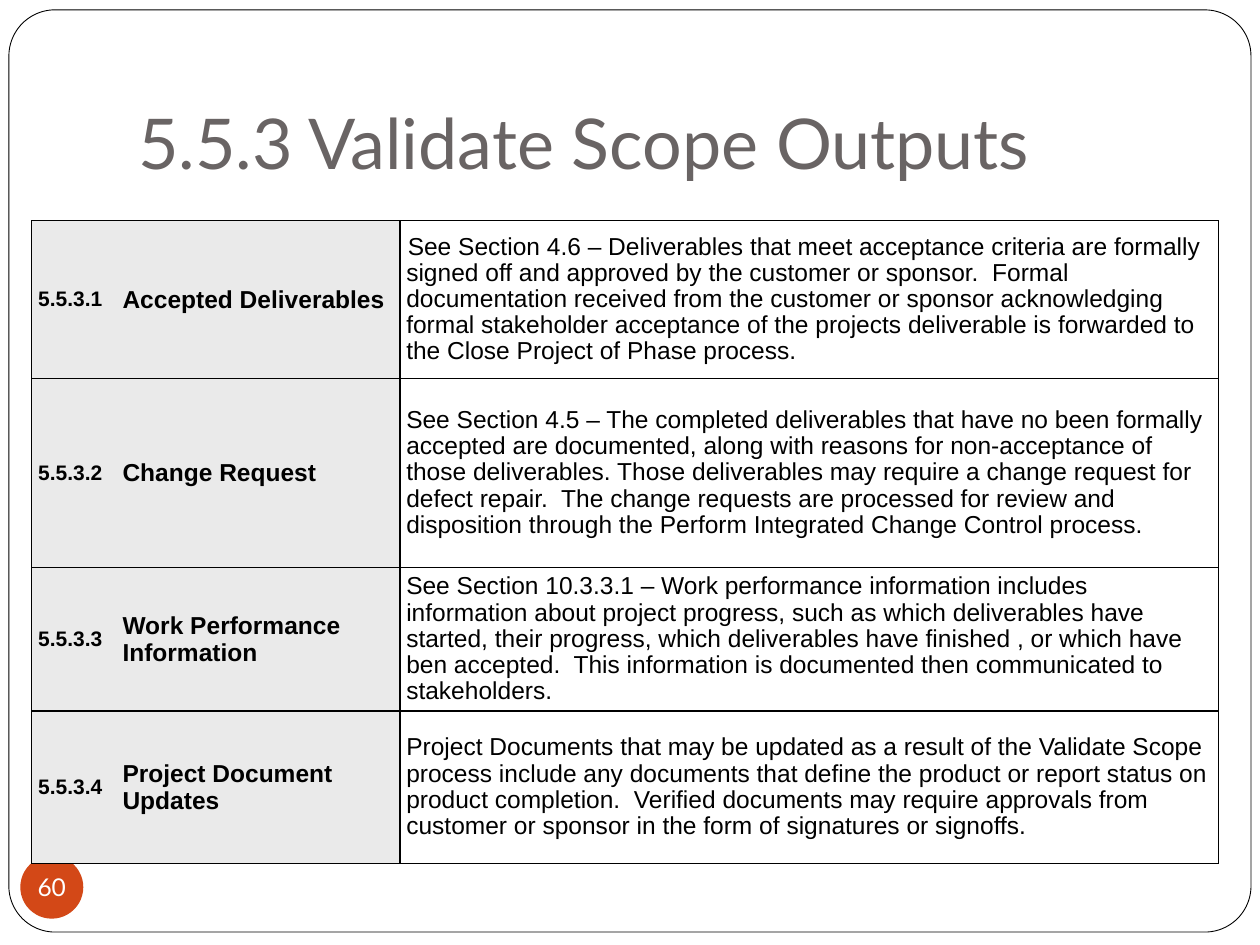
import dataclasses

import pptx
import pptx.dml.color
import pptx.enum.shapes
import pptx.enum.text
import pptx.oxml.ns
import pptx.util
from lxml import etree

Cm = pptx.util.Cm
Pt = pptx.util.Pt
RGB = pptx.dml.color.RGBColor.from_string
SHAPES = pptx.enum.shapes.MSO_SHAPE
ALIGN = pptx.enum.text.PP_ALIGN
ANCHOR = pptx.enum.text.MSO_ANCHOR


@dataclasses.dataclass(frozen=True)
class Theme:
    paper: str = "FFFFFF"
    ink: str = "000000"
    heading: str = "696464"
    accent: str = "D34817"
    label_fill: str = "EAEAEA"
    heading_font: str = "Lato"
    table_font: str = "Arial"
    title_size: int = 40
    body_size: int = 14
    number_size: int = 12
    outer_line: float = 0.5
    inner_line: float = 1


THEME = Theme()

OUTPUTS = [
    ("5.5.3.1", "Accepted Deliverables",
     "See Section 4.6 – Deliverables that meet acceptance criteria are formally signed off "
     "and approved by the customer or sponsor.  Formal documentation received from the "
     "customer or sponsor acknowledging formal stakeholder acceptance of the projects "
     "deliverable is forwarded to the Close Project of Phase process."),
    ("5.5.3.2", "Change Request",
     "See Section 4.5 – The completed deliverables that have no been formally accepted are "
     "documented, along with reasons for non-acceptance of those deliverables. Those "
     "deliverables may require a change request for defect repair.  The change requests are "
     "processed for review and disposition through the Perform Integrated Change Control "
     "process."),
    ("5.5.3.3", "Work Performance Information",
     "See Section 10.3.3.1 – Work performance information includes information about project "
     "progress, such as which deliverables have started, their progress, which deliverables "
     "have finished , or which have ben accepted.  This information is documented then "
     "communicated to stakeholders."),
    ("5.5.3.4", "Project Document Updates",
     "Project Documents that may be updated as a result of the Validate Scope process include "
     "any documents that define the product or report status on product completion.  Verified "
     "documents may require approvals from customer or sponsor in the form of signatures or "
     "signoffs."),
]
COLUMN_WIDTHS = [1.7, 5.72, 16.51]
ROW_HEIGHTS = [3.18, 3.81, 2.51, 3.07]


def write(frame, text, *, size, font=THEME.table_font, color=THEME.ink, bold=False,
          align=ALIGN.LEFT, spacing=None):
    paragraph = frame.paragraphs[0]
    paragraph.alignment = align
    paragraph.line_spacing = spacing
    run = paragraph.add_run()
    run.text = text
    run.font.size = Pt(size)
    run.font.name = font
    run.font.bold = bold
    run.font.color.rgb = RGB(color)


def set_insets(holder, left, top, right, bottom):
    holder.margin_left, holder.margin_top = Cm(left), Cm(top)
    holder.margin_right, holder.margin_bottom = Cm(right), Cm(bottom)


def add_panel(slide, kind, box, fill):
    panel = slide.shapes.add_shape(kind, *map(Cm, box))
    panel.shadow.inherit = False
    panel.fill.solid()
    panel.fill.fore_color.rgb = RGB(fill)
    panel.line.fill.background()
    return panel


def add_page_frame(slide, box):
    """Put the rounded page outline behind everything else."""
    outline = add_panel(slide, SHAPES.ROUNDED_RECTANGLE, box, THEME.paper)
    outline.adjustments[0] = 0.05
    outline.line.color.rgb = RGB(THEME.ink)
    outline.line.width = Pt(THEME.outer_line)
    slide.shapes._spTree.insert(2, outline._element)


def add_title(slide, box, text):
    title = slide.shapes.title
    title.left, title.top, title.width, title.height = map(Cm, box)
    frame = title.text_frame
    frame.auto_size = pptx.enum.text.MSO_AUTO_SIZE.NONE
    frame.vertical_anchor = ANCHOR.BOTTOM
    set_insets(frame, 0.25, 0.13, 0.25, 0.25)
    write(frame, text, size=THEME.title_size, font=THEME.heading_font, color=THEME.heading)


def add_page_number(slide, box, text):
    badge = add_panel(slide, SHAPES.OVAL, box, THEME.accent)
    frame = badge.text_frame
    frame.word_wrap = False
    frame.vertical_anchor = ANCHOR.MIDDLE
    set_insets(frame, 0, 0, 0, 0)
    write(frame, text, size=THEME.body_size, font=THEME.heading_font, color=THEME.paper,
          align=ALIGN.CENTER)


def set_borders(cell, **widths):
    """Draw the L, R, T and B edges; a width of None leaves that edge open."""
    properties = cell._tc.get_or_add_tcPr()
    for side in "LRTB":
        width = widths[side]
        edge = etree.SubElement(properties, pptx.oxml.ns.qn(f"a:ln{side}"))
        if width is None:
            etree.SubElement(edge, pptx.oxml.ns.qn("a:noFill"))
            continue
        edge.set("w", str(Pt(width)))
        paint = etree.SubElement(edge, pptx.oxml.ns.qn("a:solidFill"))
        etree.SubElement(paint, pptx.oxml.ns.qn("a:srgbClr"), val=THEME.ink)


def add_outputs_table(slide, left, top):
    table = slide.shapes.add_table(
        len(OUTPUTS), len(COLUMN_WIDTHS), Cm(left), Cm(top),
        Cm(sum(COLUMN_WIDTHS)), Cm(sum(ROW_HEIGHTS))).table
    table.first_row = table.horz_banding = False
    for column, width in zip(table.columns, COLUMN_WIDTHS):
        column.width = Cm(width)
    for row, height in zip(table.rows, ROW_HEIGHTS):
        row.height = Cm(height)

    outer, inner = THEME.outer_line, THEME.inner_line
    column_edges = [outer, None, inner, outer]
    row_edges = [outer] + [inner] * (len(OUTPUTS) - 1) + [outer]
    column_formats = [
        dict(size=THEME.number_size, bold=True),
        dict(size=THEME.body_size, bold=True),
        dict(size=THEME.body_size, spacing=0.95),
    ]
    for r, output in enumerate(OUTPUTS):
        for c, text in enumerate(output):
            cell = table.cell(r, c)
            cell.vertical_anchor = ANCHOR.MIDDLE
            set_insets(cell, 0.13, 0.13, 0.13, 0.13)
            set_borders(cell, L=column_edges[c], R=column_edges[c + 1],
                        T=row_edges[r], B=row_edges[r + 1])
            if c < 2:
                cell.fill.solid()
                cell.fill.fore_color.rgb = RGB(THEME.label_fill)
            else:
                cell.fill.background()
            write(cell.text_frame, text, **column_formats[c])
    first_description = table.cell(0, 2).text_frame.paragraphs[0]
    first_description._p.get_or_add_pPr().set("indent", str(Cm(0.03)))


def main():
    deck = pptx.Presentation()
    deck.slide_width, deck.slide_height = Cm(25.4), Cm(19.05)
    slide = deck.slides.add_slide(deck.slide_layouts.get_by_name("Title Only"))
    add_page_frame(slide, (0.18, 0.2, 25.04, 18.59))
    add_title(slide, (2.54, 0.76, 21.59, 3.18), "5.5.3 Validate Scope Outputs")
    add_page_number(slide, (0.41, 17.25, 1.27, 1.27), "60")
    add_outputs_table(slide, 0.64, 4.45)
    deck.save("out.pptx")


if __name__ == "__main__":
    main()
